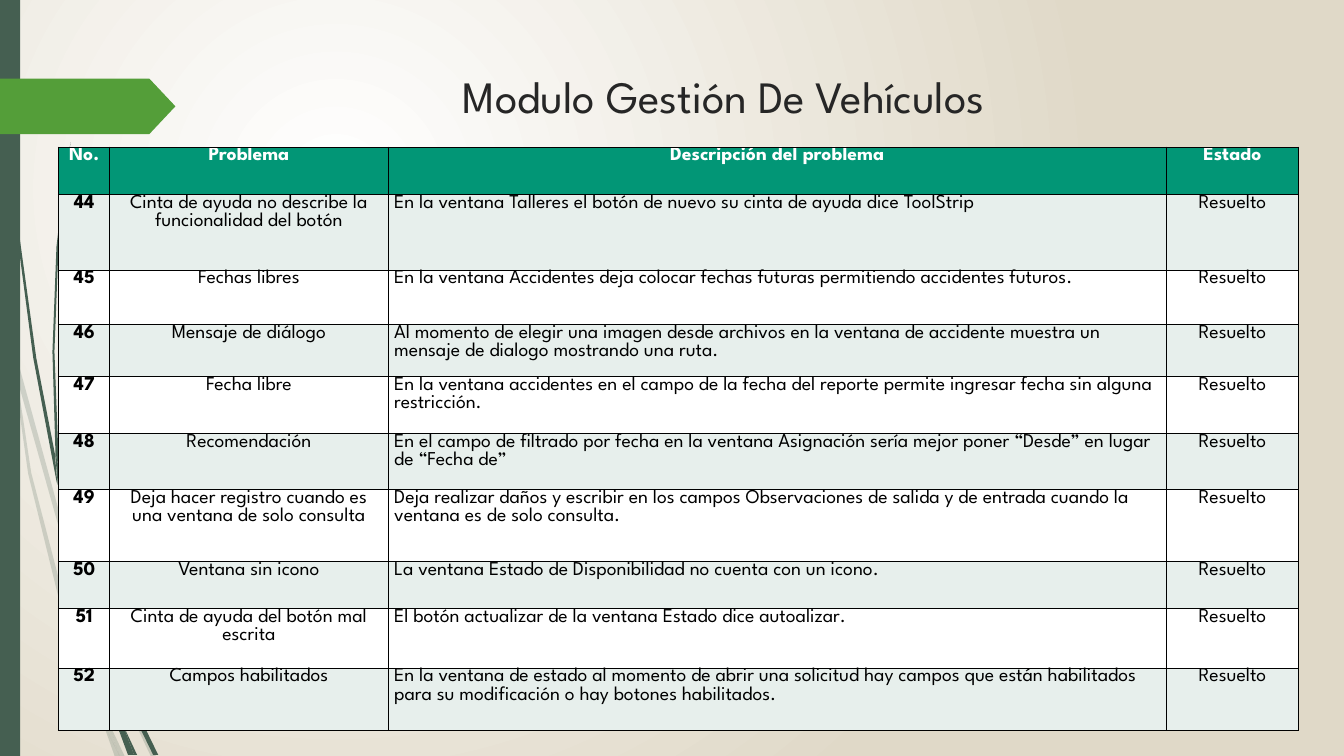
from lxml import etree
from pptx import Presentation
from pptx.dml.color import RGBColor
from pptx.enum.shapes import MSO_SHAPE
from pptx.enum.text import MSO_ANCHOR, PP_ALIGN
from pptx.oxml import parse_xml
from pptx.oxml.ns import nsdecls, qn
from pptx.util import Inches, Pt

CENTER, LEFT = PP_ALIGN.CENTER, PP_ALIGN.LEFT
MIDDLE, TOP = MSO_ANCHOR.MIDDLE, MSO_ANCHOR.TOP
RECTANGLE, PENTAGON = MSO_SHAPE.RECTANGLE, MSO_SHAPE.PENTAGON

WIDTH, HEIGHT = 13.33, 7.5
FONT = "League Spartan"
COLORS = {
    "glow": "FFFFFF", "sand": "E0D9C8", "stem": "455F51", "arrow": "549E39",
    "title": "262626", "header": "029676", "header_text": "FFFFFF",
    "odd": "E7EFEC", "even": "FFFFFF", "text": "000000", "border": "000000",
}
TITLE = "Modulo Gestión De Vehículos"
HEADERS = ("No.", "Problema", "Descripción del problema", "Estado")
STATUS = "Resuelto"
FIRST_NUMBER = 44
PROBLEMS = [
    ("Cinta de ayuda no describe la funcionalidad del botón",
     "En la ventana Talleres el botón de nuevo su cinta de ayuda dice ToolStrip"),
    ("Fechas libres",
     "En la ventana Accidentes deja colocar fechas futuras permitiendo accidentes futuros."),
    ("Mensaje de diálogo",
     "Al momento de elegir una imagen desde archivos en la ventana de accidente muestra un "
     "mensaje de dialogo mostrando una ruta."),
    ("Fecha libre",
     "En la ventana accidentes en el campo de la fecha del reporte permite ingresar fecha sin "
     "alguna restricción."),
    ("Recomendación",
     "En el campo de filtrado por fecha en la ventana Asignación sería mejor poner “Desde” en "
     "lugar de “Fecha de”"),
    ("Deja hacer registro cuando es una ventana de solo consulta",
     "Deja realizar daños y escribir en los campos Observaciones de salida y de entrada cuando "
     "la ventana es de solo consulta."),
    ("Ventana sin icono",
     "La ventana Estado de Disponibilidad no cuenta con un icono."),
    ("Cinta de ayuda del botón mal escrita",
     "El botón actualizar de la ventana Estado dice autoalizar."),
    ("Campos habilitados",
     "En la ventana de estado al momento de abrir una solicitud hay campos que están "
     "habilitados para su modificación o hay botones habilitados."),
]
COLUMNS = (0.51, 2.76, 7.72, 1.31)
ROWS = (0.47, 0.75, 0.54, 0.52, 0.56, 0.56, 0.71, 0.47, 0.59, 0.62)
ALIGNMENTS = (CENTER, CENTER, LEFT, CENTER)

PALE_STEMS = [
    [(0.11, 3.5), (0.09, 3.22), (0, 2.82), (0, 2.99), (0.1, 3.44)],
    [(0.58, 5.22), (0.84, 5.99), (0.85, 5.86), (0.62, 5.2), (0.14, 3.45), (0.17, 3.76)],
    [(0.92, 6.07), (0.88, 5.96), (0.88, 6.1), (1.23, 6.94), (1.5, 7.51), (1.55, 7.51),
     (1.27, 6.92)],
    [(1.19, 7.51), (1.24, 7.51), (1.05, 7.11)],
    [(0.93, 6.83), (0.7, 6.19), (0.31, 4.69), (0.17, 3.76), (0.11, 3.5), (0.28, 4.7),
     (0.65, 6.21), (0.92, 6.93), (1.01, 7.14), (0.99, 7.07)],
    [(0.84, 5.99), (0.87, 6.46), (0.93, 6.83), (0.96, 6.92), (1.05, 7.11), (1.03, 7.06),
     (0.91, 6.46), (0.88, 6.1), (0.88, 6.08)],
    [(0.88, 5.84), (1.1, 4.62), (1.6, 3.49), (2.29, 2.45), (2.68, 1.98), (2.9, 1.75),
     (3.12, 1.54), (3.12, 1.53), (2.89, 1.75), (2.68, 1.97), (2.28, 2.44), (1.58, 3.48),
     (1.07, 4.61), (0.85, 5.84), (0.85, 5.86), (0.88, 5.96)],
    [(1.01, 7.14), (1.14, 7.51), (1.19, 7.51)],
    [(0.88, 6.08), (0.88, 6.1), (0.88, 5.96), (0.85, 5.86), (0.84, 5.99)],
    [(0.96, 6.92), (0.93, 6.83), (0.99, 7.07), (1.01, 7.14), (1.19, 7.51), (1.05, 7.11)],
]
DARK_STEMS = [
    [(0.07, 1.1), (0.17, 2.33), (0.33, 3.55), (0.56, 4.77), (0.57, 4.81), (0.55, 4.57),
     (0.55, 4.53), (0.36, 3.55), (0.19, 2.32), (0.08, 1.09), (0.05, 0.48), (0.04, 0),
     (0.03, 0), (0.04, 0.48)],
    [(0.88, 5.92), (1.06, 6.45), (1.06, 6.31), (0.93, 5.9), (0.6, 4.72), (0.64, 5.05)],
    [(1.13, 6.49), (1.1, 6.41), (1.11, 6.56), (1.32, 7.08), (1.52, 7.49), (1.57, 7.49),
     (1.36, 7.06)],
    [(1.1, 6.91), (0.98, 6.57), (0.72, 5.56), (0.64, 5.05), (0.57, 4.77), (0.68, 5.57),
     (0.93, 6.59), (1.11, 7.08), (1.17, 7.22), (1.16, 7.17)],
    [(0.6, 4.72), (0.58, 4.53), (0.54, 3.49), (0.58, 2.45), (0.63, 1.93), (0.7, 1.41),
     (0.62, 1.93), (0.56, 2.45), (0.52, 3.49), (0.55, 4.49)],
    [(1.33, 7.49), (1.36, 7.49), (1.22, 7.19)],
    [(0.57, 4.77), (0.64, 5.05), (0.6, 4.72), (0.55, 4.49), (0.55, 4.53)],
    [(1.11, 6.33), (1.25, 5.52), (1.58, 4.76), (2.05, 4.06), (2.31, 3.74), (2.45, 3.59),
     (2.61, 3.44), (2.45, 3.58), (2.31, 3.73), (2.04, 4.05), (1.56, 4.74), (1.22, 5.51),
     (1.06, 6.31), (1.1, 6.41)],
    [(1.17, 7.22), (1.27, 7.49), (1.31, 7.49)],
    [(1.06, 6.45), (1.1, 6.91), (1.16, 7.06), (1.22, 7.19), (1.21, 7.16), (1.11, 6.56),
     (1.09, 6.51)],
    [(1.06, 6.45), (1.09, 6.51), (1.11, 6.56), (1.1, 6.41), (1.06, 6.31)],
    [(1.16, 7.06), (1.1, 6.91), (1.16, 7.17), (1.17, 7.22), (1.3, 7.49), (1.33, 7.49),
     (1.22, 7.19)],
]


def set_attributes(target, values):
    for name, value in values.items():
        setattr(target, name, value)


def color(name):
    return RGBColor.from_string(COLORS[name])


def paint(shape, name):
    shape.shadow.inherit = False
    shape.fill.solid()
    shape.fill.fore_color.rgb = color(name)
    shape.line.fill.background()


def write(text_frame, text, alignment, size, color_name, bold=False):
    paragraph = text_frame.paragraphs[0]
    paragraph.alignment = alignment
    run = paragraph.add_run()
    run.text = text
    set_attributes(run.font, {"name": FONT, "size": Pt(size), "bold": bold})
    run.font.color.rgb = color(color_name)


def paint_background(slide):
    fill = slide.background.fill
    fill.gradient()
    for stop, name in zip(fill.gradient_stops, ("glow", "sand")):
        stop.color.rgb = color(name)
    gradient = slide._element.find(".//" + qn("a:gradFill"))
    gradient.remove(gradient.find(qn("a:lin")))
    gradient.append(parse_xml(
        f'<a:path {nsdecls("a")} path="circle">'
        '<a:fillToRect l="50000" t="50000" r="100000" b="100000"/></a:path>'))


def add_stem(slide, points, opacity):
    (start, *others) = [(Inches(x), Inches(y)) for x, y in points]
    builder = slide.shapes.build_freeform(*start, scale=1.0)
    builder.add_line_segments(others, close=True)
    stem = builder.convert_to_shape()
    paint(stem, "stem")
    if opacity < 100:
        fill_color = stem._element.spPr.find(".//" + qn("a:srgbClr"))
        etree.SubElement(fill_color, qn("a:alpha"), val=str(opacity * 1000))


def add_preset(slide, kind, box, name):
    shape = slide.shapes.add_shape(kind, *map(Inches, box))
    paint(shape, name)
    return shape


def add_borders(cell):
    properties = cell._tc.get_or_add_tcPr()
    for index, side in enumerate("LRTB"):
        properties.insert(index, parse_xml(
            f'<a:ln{side} {nsdecls("a")} w="12700"><a:solidFill>'
            f'<a:srgbClr val="{COLORS["border"]}"/></a:solidFill></a:ln{side}>'))


def add_problem_table(slide):
    contents = [HEADERS] + [
        (str(number), *problem, STATUS) for number, problem in enumerate(PROBLEMS, FIRST_NUMBER)]
    box = map(Inches, (0.58, 1.46, sum(COLUMNS), sum(ROWS)))
    table = slide.shapes.add_table(len(ROWS), len(COLUMNS), *box).table
    for column, width in zip(table.columns, COLUMNS):
        column.width = Inches(width)
    for row_index, (height, texts) in enumerate(zip(ROWS, contents)):
        table.rows[row_index].height = Inches(height)
        header = row_index == 0
        fill_name = "header" if header else ("even", "odd")[row_index % 2]
        for column_index, text in enumerate(texts):
            cell = table.cell(row_index, column_index)
            set_attributes(cell, {
                "margin_left": Inches(0.06), "margin_right": Inches(0.06),
                "margin_top": 0, "margin_bottom": 0, "vertical_anchor": TOP})
            cell.fill.solid()
            cell.fill.fore_color.rgb = color(fill_name)
            add_borders(cell)
            write(cell.text_frame, text, CENTER if header else ALIGNMENTS[column_index], 14,
                  "header_text" if header else "text", header or column_index == 0)


def main():
    presentation = Presentation()
    set_attributes(presentation, {"slide_width": Inches(WIDTH), "slide_height": Inches(HEIGHT)})
    slide = presentation.slides.add_slide(presentation.slide_layouts[5])
    paint_background(slide)
    for stems, opacity in ((PALE_STEMS, 20), (DARK_STEMS, 100)):
        for points in stems:
            add_stem(slide, points, opacity)
    add_preset(slide, RECTANGLE, (0, 0, 0.2, HEIGHT), "stem")
    arrow = add_preset(slide, PENTAGON, (0, 0.78, 1.74, 0.55), "arrow")
    arrow.adjustments[0] = 0.47
    title = slide.shapes.title
    set_attributes(title, {"left": Inches(1.78), "top": Inches(0.55),
                           "width": Inches(10.8), "height": Inches(0.79)})
    set_attributes(title.text_frame, {"vertical_anchor": MIDDLE, "word_wrap": True})
    write(title.text_frame, TITLE, CENTER, 32, "title")
    add_problem_table(slide)
    presentation.save("out.pptx")


if __name__ == "__main__":
    main()
